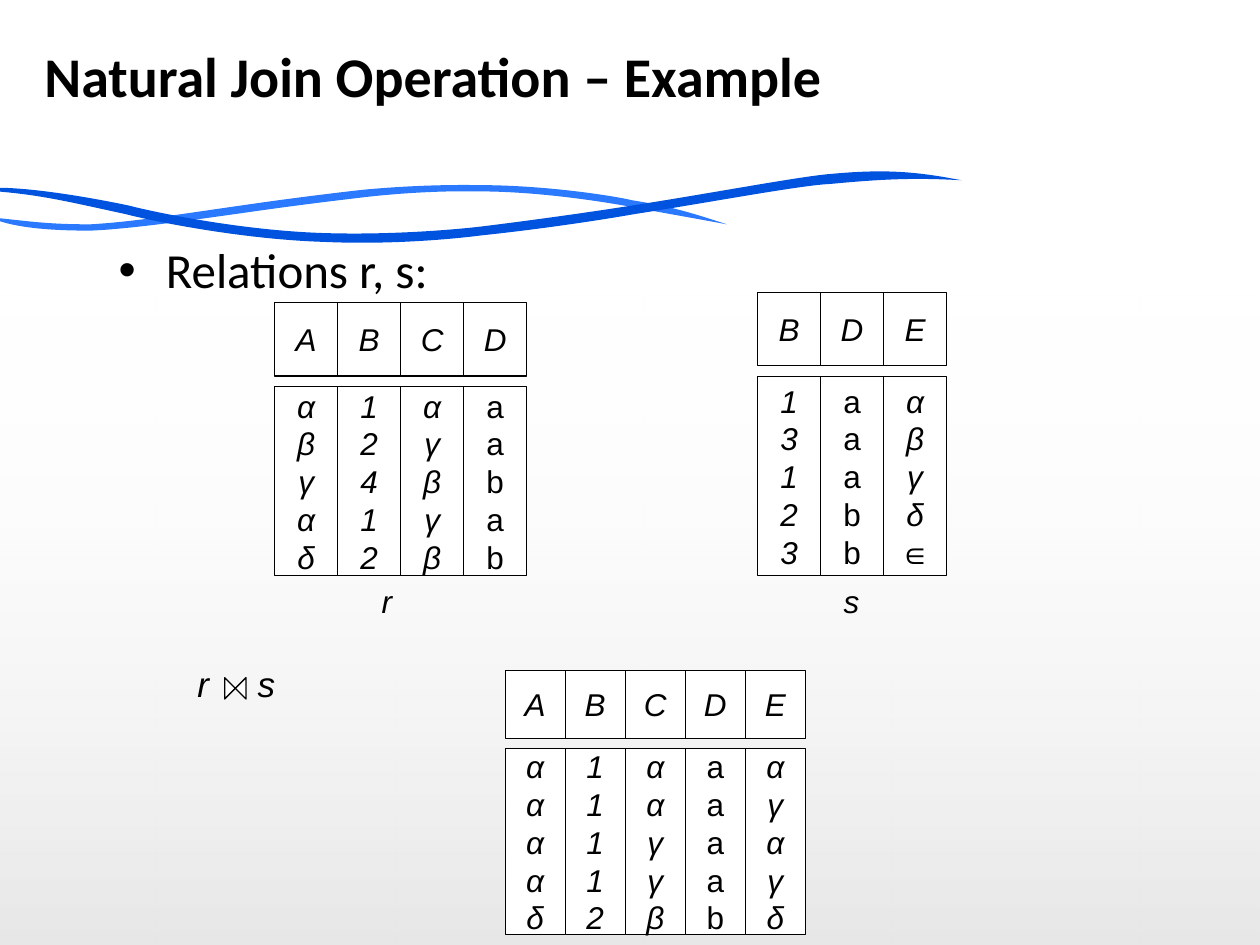
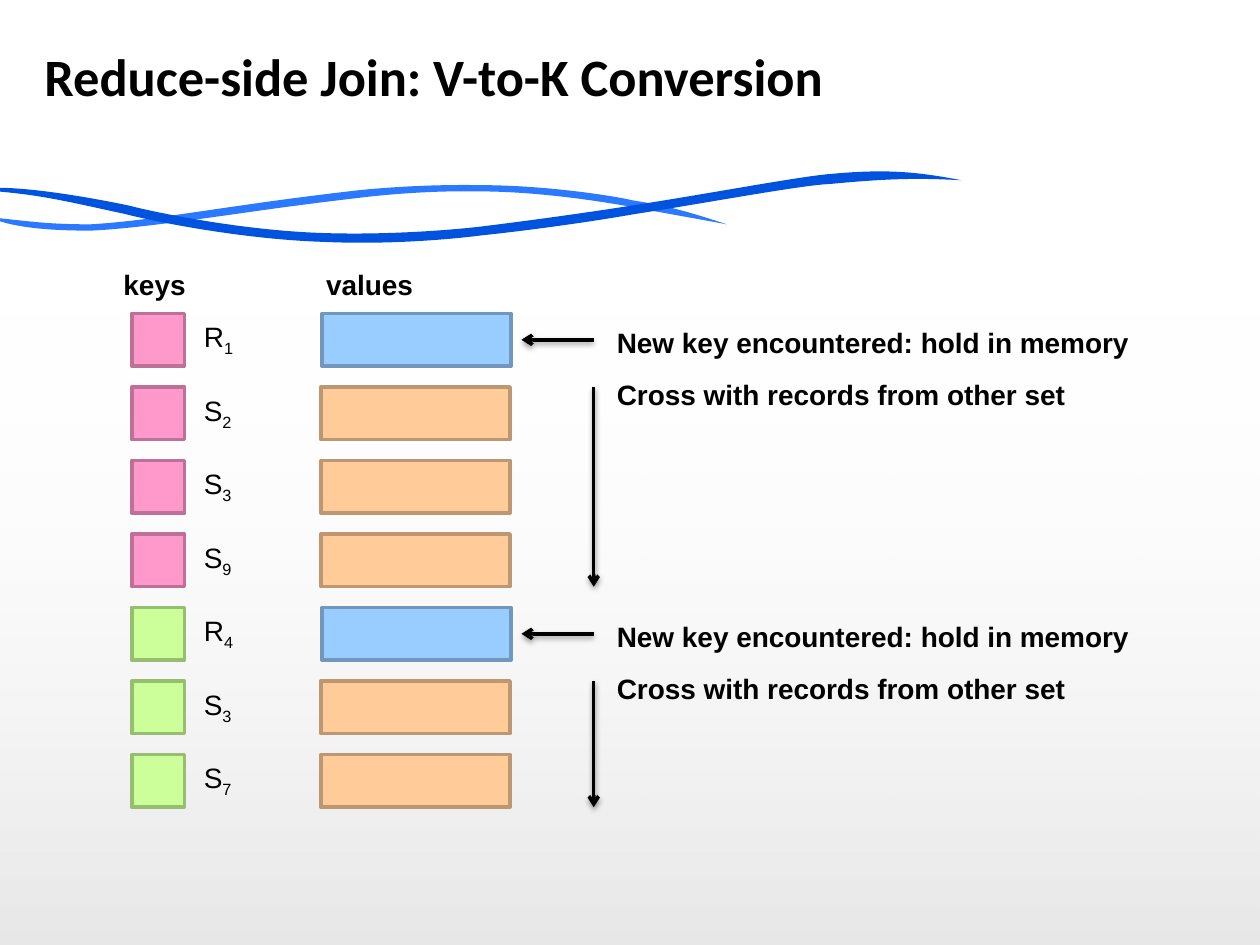
from dataclasses import dataclass

from lxml import etree
from pptx import Presentation
from pptx.dml.color import RGBColor
from pptx.enum.shapes import MSO_CONNECTOR, MSO_SHAPE
from pptx.enum.text import MSO_ANCHOR, PP_ALIGN
from pptx.oxml.ns import qn
from pptx.util import Pt

RECTANGLE = MSO_SHAPE.RECTANGLE
COLLATE = MSO_SHAPE.FLOWCHART_COLLATE
STRAIGHT = MSO_CONNECTOR.STRAIGHT
TOP, MIDDLE = MSO_ANCHOR.TOP, MSO_ANCHOR.MIDDLE
CENTER = PP_ALIGN.CENTER


@dataclass(frozen=True)
class Theme:
    black: str = "000000"
    white: str = "FFFFFF"
    light_wave: str = "2A79FF"
    dark_wave: str = "0053DF"
    pink: tuple = ("FF99CC", "BD7197")
    green: tuple = ("CCFF99", "97BD71")
    blue: tuple = ("99CCFF", "7197BD")
    orange: tuple = ("FFCC99", "BD9771")
    heading_font: str = "Calibri"
    body_font: str = "Arial"
    join_title_size: int = 32
    reduce_title_size: int = 30
    bullet_size: int = 28
    join_size: int = 20
    cell_size: int = 18
    label_size: int = 16
    thin: float = 0.75
    thick: float = 2


THEME = Theme()

# Content
JOIN_TITLE = "Natural Join Operation – Example"
JOIN_BULLET = "Relations r, s:"
# place: left, top, column width, header height, body top, body height
RELATIONS = [
    {"name": "r", "name_left": 209, "place": (157, 172.9, 36, 42, 221, 108),
     "columns": {"A": "αβγαδ", "B": "12412", "C": "αγβγβ", "D": "aabab"}},
    {"name": "s", "name_left": 474.5, "place": (432.9, 167, 36, 42, 215.2, 113.7),
     "columns": {"B": "13123", "D": "aaabb", "E": "αβγδ∈"}},
    {"name": None, "place": (288.7, 383, 34.3, 38.9, 427.7, 106.5),
     "columns": {"A": "ααααδ", "B": "11112", "C": "ααγγβ", "D": "aaaab", "E": "αγαγδ"}},
]

REDUCE_TITLE = "Reduce-side Join: V-to-K Conversion"
HEADINGS = [("keys", 63.5), ("values", 179.3)]
KEY_GROUPS = [
    (THEME.pink, ["R1", "S2", "S3", "S9"]),
    (THEME.green, ["R4", "S3", "S7"]),
]
HOLD_NOTE = "New key encountered: hold in memory"
CROSS_NOTE = "Cross with records from other set"

# Each wave: start point, then cubic curves (control, control, end)
LIGHT_WAVE = [
    (-1.4, 126),
    ((-1.4, 124.6), (-1.4, 124.6), (-1.4, 124.6)),
    ((18.7, 126.7), (28.1, 128.2), (51.8, 128.2)),
    ((77, 126.7), (103, 122.4), (138.2, 117.4)),
    ((172.8, 112.3), (205.2, 108.7), (205.2, 108.7)),
    ((205.2, 108.7), (237.6, 105.1), (274.3, 105.8)),
    ((310.3, 105.8), (349.2, 111.6), (361.4, 114.5)),
    ((384.5, 118.1), (397.4, 122.4), (415.4, 128.2)),
    ((396, 124.6), (383, 122.4), (360, 118.1)),
    ((347.8, 115.9), (309.6, 109.4), (273.6, 109.4)),
    ((238.3, 108.7), (205.9, 113), (205.9, 113)),
    ((205.9, 113), (174.2, 116.6), (139, 121.7)),
    ((103.7, 126.7), (72, 131), (51.8, 131.8)),
    ((34.6, 131.8), (13, 131), (-1.4, 126)),
]
DARK_WAVE = [
    (-1.4, 109.4),
    ((-1.4, 107.3), (-1.4, 107.3), (-1.4, 107.3)),
    ((18, 107.3), (49, 112.3), (73.4, 117.4)),
    ((90, 121.7), (139, 131.8), (185.8, 133.2)),
    ((231.8, 134.6), (273.6, 129.6), (273.6, 129.6)),
    ((273.6, 129.6), (315.4, 124.6), (361.4, 117.4)),
    ((407.5, 110.2), (457.2, 100.8), (474.5, 99.4)),
    ((505.4, 96.5), (523.4, 97.9), (549.4, 103)),
    ((523.4, 101.5), (505.4, 102.2), (474.5, 105.1)),
    ((457.9, 105.8), (408.2, 115.2), (362.2, 122.4)),
    ((316.8, 130.3), (274.3, 134.6), (274.3, 134.6)),
    ((274.3, 134.6), (231.8, 140.4), (185, 138.2)),
    ((139, 136.8), (88.6, 126.7), (72, 122.4)),
    ((41.8, 115.9), (25.2, 111.6), (-1.4, 109.4)),
]


def add_child(parent, tag, **attributes):
    return etree.SubElement(parent, qn(tag), {key: str(value) for key, value in attributes.items()})


def add_span(para, text, size, bold=False, italic=False, font=THEME.body_font):
    span = para.add_run()
    span.text = text
    span.font.size = Pt(size)
    span.font.name = font
    span.font.bold = bold
    span.font.italic = italic
    span.font.color.rgb = RGBColor.from_string(THEME.black)
    return span


def add_box(page, left, top, width, height, anchor=TOP):
    box = page.shapes.add_textbox(Pt(left), Pt(top), Pt(width), Pt(height))
    box.text_frame.word_wrap = True
    box.text_frame.vertical_anchor = anchor
    return box.text_frame


def add_label(page, text, left, top, width):
    frame = add_box(page, left, top, width, 26.6)
    frame.word_wrap = False
    add_span(frame.paragraphs[0], text, THEME.label_size, bold=True)


def hang(para, indent):
    properties = para._p.get_or_add_pPr()
    properties.set("marL", str(Pt(indent)))
    properties.set("indent", str(-Pt(indent)))
    return properties


def add_figure(page, kind, left, top, width, height, fill, line, weight):
    figure = page.shapes.add_shape(kind, Pt(left), Pt(top), Pt(width), Pt(height))
    figure.shadow.inherit = False
    figure.fill.solid()
    figure.fill.fore_color.rgb = RGBColor.from_string(fill)
    figure.line.color.rgb = RGBColor.from_string(line)
    figure.line.width = Pt(weight)
    return figure


def add_cell(page, left, top, width, height, entries):
    """Draw a bordered cell with one centred line per entry; a and b stand upright."""
    cell = add_figure(page, RECTANGLE, left, top, width, height,
                      THEME.white, THEME.black, THEME.thin)
    frame = cell.text_frame
    frame.word_wrap = False
    frame.vertical_anchor = MIDDLE
    for index, entry in enumerate(entries):
        para = frame.add_paragraph() if index else frame.paragraphs[0]
        para.alignment = CENTER
        add_span(para, entry, THEME.cell_size, italic=entry not in "ab")


def add_relation(page, relation):
    left, top, width, header_height, body_top, body_height = relation["place"]
    for index, (heading, entries) in enumerate(relation["columns"].items()):
        x = left + index * width
        add_cell(page, x, top, width, header_height, heading)
        add_cell(page, x, body_top, width, body_height, entries)
    if relation["name"]:
        frame = add_box(page, relation["name_left"], 329, 24, 28.8, MIDDLE)
        frame.paragraphs[0].alignment = CENTER
        add_span(frame.paragraphs[0], relation["name"], THEME.cell_size, italic=True)


def add_arrow(page, start, end):
    arrow = page.shapes.add_connector(STRAIGHT, *(Pt(value) for value in start + end))
    arrow.line.color.rgb = RGBColor.from_string(THEME.black)
    arrow.line.width = Pt(THEME.thick)
    add_child(arrow.line._get_or_add_ln(), "a:tailEnd", type="arrow")
    effects = add_child(arrow._element.spPr, "a:effectLst")
    shadow = add_child(effects, "a:outerShdw", blurRad=Pt(3.1), dist=Pt(1.6),
                       dir=5400000, rotWithShape=0)
    color = add_child(shadow, "a:srgbClr", val=THEME.black)
    add_child(color, "a:alpha", val=38000)


def add_wave(page, wave, color):
    """Outline the curve ends, then bend each straight segment into its cubic curve."""
    (start_x, start_y), *curves = wave
    builder = page.shapes.build_freeform(Pt(start_x), Pt(start_y))
    builder.add_line_segments([(Pt(x), Pt(y)) for *_, (x, y) in curves], close=True)
    shape = builder.convert_to_shape()
    segments = list(shape._element.iter(qn("a:lnTo")))
    for segment, curve in zip(segments, curves):
        bend = etree.Element(qn("a:cubicBezTo"))
        for x, y in curve:
            add_child(bend, "a:pt", x=Pt(x) - shape.left, y=Pt(y) - shape.top)
        segment.getparent().replace(segment, bend)
    shape.shadow.inherit = False
    shape.fill.solid()
    shape.fill.fore_color.rgb = RGBColor.from_string(color)
    shape.line.fill.background()


def add_shade(page):
    """Fade the lower part of the page towards grey."""
    shade = page.shapes.add_shape(RECTANGLE, 0, Pt(159), Pt(720), Pt(381))
    shade.shadow.inherit = False
    shade.line.fill.background()
    shade.fill.gradient()
    shade.fill.gradient_angle = 90
    for stop, color, alpha in zip(shade.fill.gradient_stops,
                                  (THEME.black, THEME.white), (10000, 0)):
        stop.color.rgb = RGBColor.from_string(color)
        for node in stop._gs.iter(qn("a:srgbClr")):
            add_child(node, "a:alpha", val=alpha)


def move_to_master(deck, page):
    """Hand the shapes drawn so far to the slide master, so every page shows them."""
    tree = deck.slide_master.shapes._spTree
    for number, shape in enumerate(list(page.shapes), start=101):
        shape._element.nvSpPr.cNvPr.set("id", str(number))
        tree.append(shape._element)


def add_title(page, title, size):
    frame = add_box(page, 25.4, 0, 669, 86, MIDDLE)
    frame.margin_left = frame.margin_right = frame.margin_top = frame.margin_bottom = 0
    add_span(frame.paragraphs[0], title, size, bold=True, font=THEME.heading_font)


def build_natural_join(page):
    add_title(page, JOIN_TITLE, THEME.join_title_size)
    para = add_box(page, 60.7, 137.2, 554, 32.4).paragraphs[0]
    properties = hang(para, 27.1)
    add_child(properties, "a:buFont", typeface=THEME.body_font)
    add_child(properties, "a:buChar", char="•")
    para.line_spacing = 0.9
    add_span(para, JOIN_BULLET, THEME.bullet_size, font=THEME.heading_font)
    for relation in RELATIONS:
        add_relation(page, relation)
    para = add_box(page, 105.8, 375, 554, 32.4).paragraphs[0]
    hang(para, 34.4)
    add_span(para, "r\ts", THEME.join_size, italic=True)
    bowtie = add_figure(page, COLLATE, 128.4, 387.2, 12.2, 12.2,
                        THEME.white, THEME.black, THEME.thin)
    bowtie.rotation = 270


def build_reduce_join(page):
    add_title(page, REDUCE_TITLE, THEME.reduce_title_size)
    top, pitch, side, arrow_x, note_x = 179.1, 42, 30.2, 339.3, 345.4
    for heading, left in HEADINGS:
        add_label(page, heading, left, 149.3, 64)
    for key_color, records in KEY_GROUPS:
        for index, (relation, number) in enumerate(records):
            y = top + index * pitch
            value_left, value_color = (183.5, THEME.orange) if index else (184, THEME.blue)
            add_figure(page, RECTANGLE, 75.3, y, side, side, *key_color, THEME.thick)
            add_figure(page, RECTANGLE, value_left, y, 108, side, *value_color, THEME.thick)
            para = add_box(page, 109.4, y + 0.2, 32.4, 26.6).paragraphs[0]
            add_span(para, relation, THEME.label_size)
            subscript = add_span(para, number, THEME.label_size)
            subscript.font._element.set("baseline", "-25000")
        hold_y = top + side / 2
        add_arrow(page, (arrow_x, hold_y), (298, hold_y))
        add_label(page, HOLD_NOTE, note_x, top + 3.4, 311)
        add_arrow(page, (arrow_x, top + pitch), (arrow_x, y + side))
        add_label(page, CROSS_NOTE, note_x, top + 33.1, 274.3)
        top += len(records) * pitch


def main():
    deck = Presentation()
    deck.slide_width, deck.slide_height = Pt(720), Pt(540)
    blank = deck.slide_layouts[6]
    join_page, reduce_page = deck.slides.add_slide(blank), deck.slides.add_slide(blank)
    add_shade(join_page)
    add_wave(join_page, LIGHT_WAVE, THEME.light_wave)
    add_wave(join_page, DARK_WAVE, THEME.dark_wave)
    move_to_master(deck, join_page)
    build_natural_join(join_page)
    build_reduce_join(reduce_page)
    deck.save("out.pptx")


if __name__ == "__main__":
    main()
